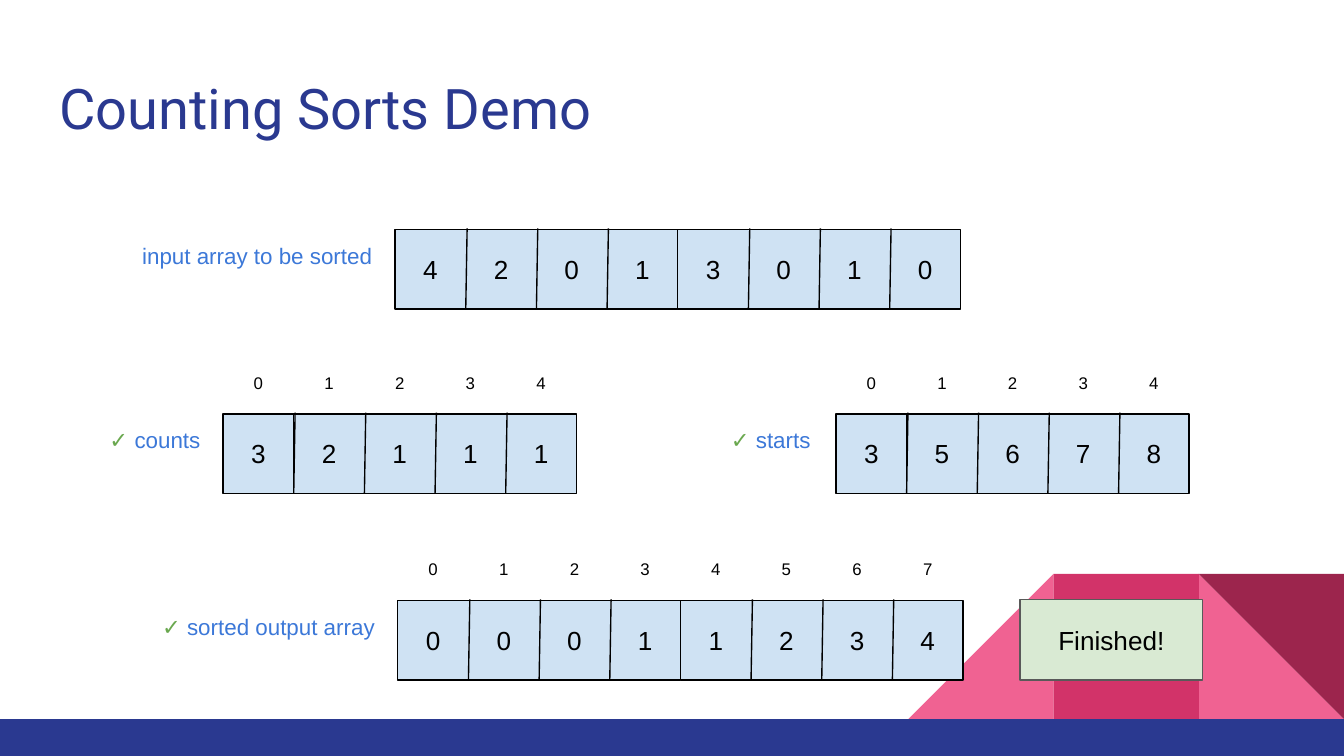
from lxml import etree
from pptx import Presentation
from pptx.dml.color import RGBColor
from pptx.enum.shapes import MSO_CONNECTOR as Connector, MSO_SHAPE as Shape
from pptx.enum.text import MSO_ANCHOR as Anchor, MSO_AUTO_SIZE as AutoSize, PP_ALIGN as Align
from pptx.oxml.ns import qn
from pptx.util import Inches, Pt

NAVY = RGBColor(0x2A, 0x39, 0x90)
PINK = RGBColor(0xF0, 0x62, 0x92)
ROSE = RGBColor(0xD2, 0x33, 0x69)
WINE = RGBColor(0x9C, 0x25, 0x4D)
CELL_BLUE = RGBColor(0xCF, 0xE2, 0xF3)
LABEL_BLUE = RGBColor(0x3C, 0x78, 0xD8)
CHECK_GREEN = RGBColor(0x6A, 0xA8, 0x4F)
DONE_GREEN = RGBColor(0xD9, 0xEA, 0xD3)
GRAY = RGBColor(0x59, 0x59, 0x59)
BLACK = RGBColor(0, 0, 0)

CELL_WIDTH = 3.68 / 7
CELL_HEIGHT = 0.6
INDEX_HEIGHT = 0.39
INDEX_RISE = 0.4
STRIP_CELLS = 4
LINE_WIDTH = Pt(0.75)


def write_text(shape, runs, size, align, anchor=Anchor.TOP, font_name="Arial"):
    frame = shape.text_frame
    frame.word_wrap = True
    frame.auto_size = AutoSize.NONE
    frame.vertical_anchor = anchor
    frame.margin_left = frame.margin_right = Inches(0.1)
    frame.margin_top = frame.margin_bottom = Inches(0.1)
    paragraph = frame.paragraphs[0]
    paragraph.alignment = align
    for text, color in runs:
        run = paragraph.add_run()
        run.text = text
        run.font.size = Pt(size)
        run.font.name = font_name
        run.font.color.rgb = color


def add_block(slide, kind, left, top, width, height, fill, line=None):
    shape = slide.shapes.add_shape(
        kind, Inches(left), Inches(top), Inches(width), Inches(height))
    shape.shadow.inherit = False
    shape.fill.solid()
    shape.fill.fore_color.rgb = fill
    if line is None:
        shape.line.fill.background()
    else:
        shape.line.color.rgb = line
        shape.line.width = LINE_WIDTH
    return shape


def add_label(slide, left, top, width, height, runs, size, align, anchor=Anchor.TOP):
    box = slide.shapes.add_textbox(
        Inches(left), Inches(top), Inches(width), Inches(height))
    write_text(box, runs, size, align, anchor)


def add_divider(slide, left, top, height):
    divider = slide.shapes.add_connector(
        Connector.STRAIGHT, Inches(left + 0.01), Inches(top),
        Inches(left), Inches(top + height))
    divider.line.color.rgb = BLACK
    divider.line.width = LINE_WIDTH
    etree.SubElement(divider.element.spPr, qn("a:effectLst"))


def add_footer(slide, left, top, width, height):
    bar = 0.28
    side = height - bar
    right = left + width
    add_block(slide, Shape.RIGHT_TRIANGLE, right - side, top, side, side, PINK)
    slope = add_block(slide, Shape.RIGHT_TRIANGLE, right - 3 * side, top, side, side, PINK)
    slope.element.spPr.xfrm.set("flipH", "1")
    add_block(slide, Shape.RECTANGLE, right - 2 * side, top, side, side, ROSE)
    corner = add_block(slide, Shape.RIGHT_TRIANGLE, right - side, top, side, side, WINE)
    corner.rotation = 180
    add_block(slide, Shape.RECTANGLE, left, top + side, width, bar, NAVY)


def add_title(slide, left, top, width, height, text):
    title = slide.shapes.title
    title.left, title.top = Inches(left), Inches(top)
    title.width, title.height = Inches(width), Inches(height)
    write_text(title, [(text, NAVY)], 30, Align.LEFT, font_name="Roboto")


def add_array(slide, left, top, values, label, label_left, label_width,
              checked=True, indexed=True):
    second_strip = len(values) - STRIP_CELLS
    for first_cell in (0, second_strip):
        add_block(slide, Shape.RECTANGLE, left + first_cell * CELL_WIDTH, top + 0.01,
                  STRIP_CELLS * CELL_WIDTH, CELL_HEIGHT - 0.01, CELL_BLUE, BLACK)
    for index, value in enumerate(values):
        cell_left = left + index * CELL_WIDTH
        if index not in (0, STRIP_CELLS) or index > second_strip:
            add_divider(slide, cell_left, top, CELL_HEIGHT)
        add_label(slide, cell_left, top, CELL_WIDTH, CELL_HEIGHT,
                  [(str(value), BLACK)], 14, Align.CENTER, Anchor.MIDDLE)
        if indexed:
            add_label(slide, cell_left, top - INDEX_RISE, CELL_WIDTH, INDEX_HEIGHT,
                      [(str(index), BLACK)], 9, Align.CENTER)
    runs = [("✓ ", CHECK_GREEN)] if checked else []
    runs.append((label, LABEL_BLUE))
    add_label(slide, label_left, top, label_width, CELL_HEIGHT, runs, 12, Align.RIGHT)


def add_finished_badge(slide, left, top, width, height):
    badge = add_block(slide, Shape.RECTANGLE, left, top, width, height, DONE_GREEN, GRAY)
    write_text(badge, [("Finished!", BLACK)], 14, Align.CENTER, Anchor.MIDDLE)


def main():
    presentation = Presentation()
    presentation.slide_width = Inches(10)
    presentation.slide_height = Inches(5.625)
    slide = presentation.slides.add_slide(presentation.slide_layouts[5])

    add_footer(slide, 0, 4.27, 10, 1.36)
    add_title(slide, 0.34, 0.45, 9.32, 0.66, "Counting Sorts Demo")
    add_array(slide, 2.94, 1.7, [4, 2, 0, 1, 3, 0, 1, 0],
              "input array to be sorted", 0.34, 2.53, checked=False, indexed=False)
    add_array(slide, 1.66, 3.07, [3, 2, 1, 1, 1], "counts", 0.34, 1.25)
    add_array(slide, 6.22, 3.07, [3, 5, 6, 7, 8], "starts", 4.88, 1.25)
    add_array(slide, 2.96, 4.46, [0, 0, 0, 1, 1, 2, 3, 4],
              "sorted output array", 0.36, 2.53)
    add_finished_badge(slide, 7.59, 4.46, 1.36, 0.6)

    presentation.save("out.pptx")


if __name__ == "__main__":
    main()
